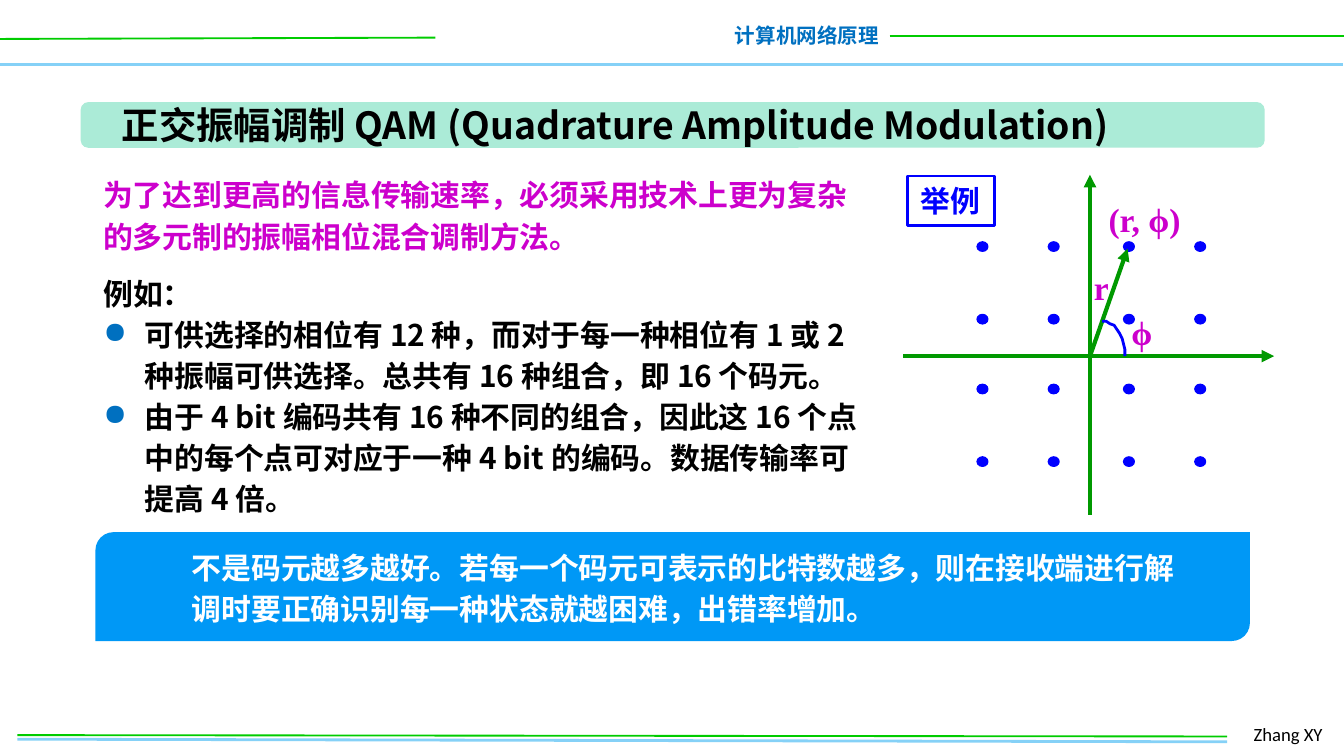
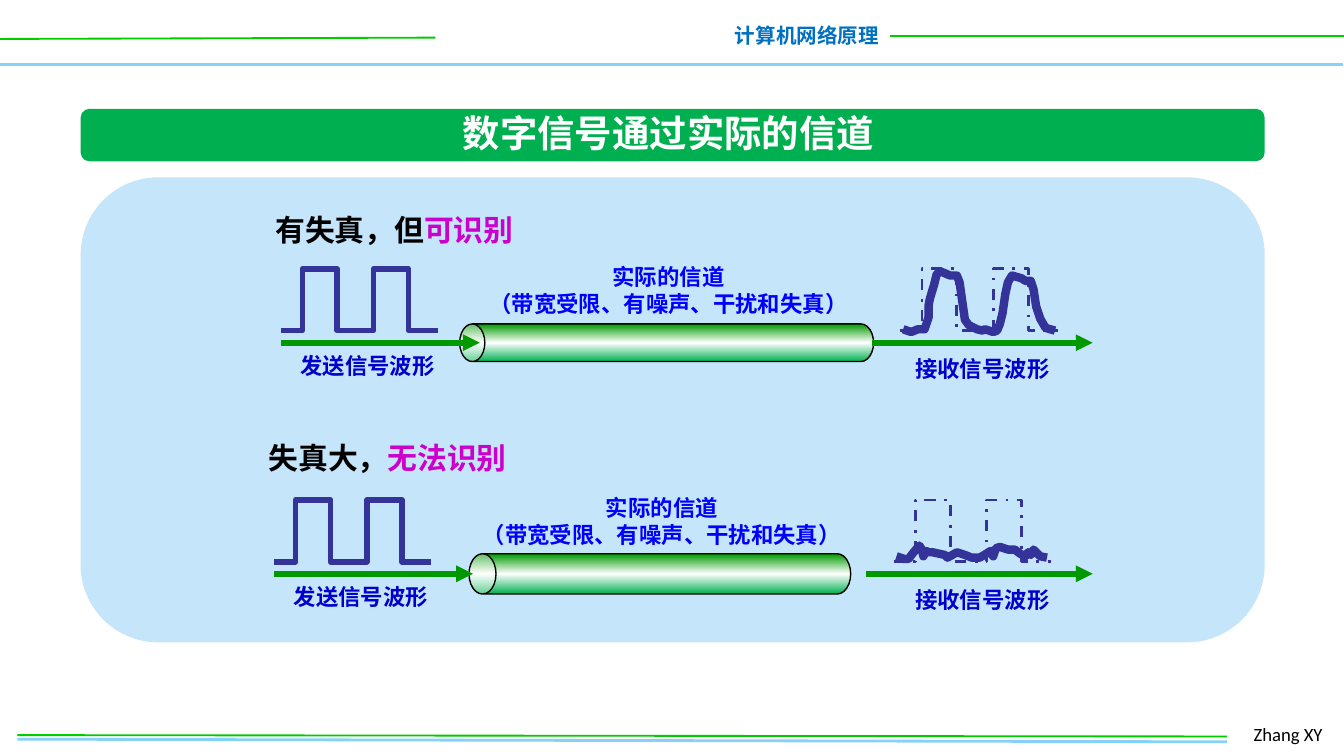
import math

import pptx
import pptx.dml.color
import pptx.enum.dml
import pptx.enum.shapes
import pptx.enum.text
import pptx.oxml
import pptx.oxml.ns
import pptx.util
from lxml import etree

SHAPE = pptx.enum.shapes.MSO_SHAPE
ALIGN = pptx.enum.text.PP_ALIGN
CJK = "Noto Sans CJK SC"
SERIF = "Times New Roman"
BLACK, WHITE = "000000", "FFFFFF"
SKY, GRASS, TEAL_BLUE = "85D1F7", "00CC00", "0070C0"
AXIS_GREEN, PIPE_GREEN = "009900", "00B050"
BLUE, LABEL_BLUE, WAVE_BLUE = "0000FF", "0000CC", "333399"
MAGENTA = "CC00CC"

SQUARE_WAVE = [(0, 46), (16, 46), (16, 0), (42, 0), (42, 46),
               (69, 46), (69, 0), (95, 0), (95, 46), (117, 46)]
READABLE_WAVE = [
    (463, 45), (469, 47), (474, 45), (479, 45), (482, 36), (482, 27), (483, 22),
    (486, 12), (488, 4), (491, 2), (498, 5), (503, 5), (505, 10), (507, 24),
    (509, 38), (512, 42), (518, 45), (522, 46), (524, 45), (530, 47), (533, 46),
    (535, 41), (537, 33), (539, 19), (541, 10), (544, 5), (551, 7), (554, 9),
    (558, 9), (560, 15), (562, 28), (565, 37), (569, 44), (576, 46)]
LOST_WAVE = [
    (463, 42), (469, 44), (472, 44), (475, 40), (480, 34), (482, 37), (483, 42),
    (485, 38), (487, 39), (490, 39), (499, 41), (501, 43), (508, 39), (514, 41),
    (519, 43), (525, 43), (530, 40), (533, 38), (535, 42), (537, 36), (540, 35),
    (546, 37), (551, 37), (555, 40), (559, 42), (561, 39), (563, 41), (565, 37),
    (570, 42), (575, 43)]


def px(length):
    return pptx.util.Emu(length * 9144)


def color(value):
    return pptx.dml.color.RGBColor.from_string(value)


def stroke(line, value, points):
    line.color.rgb = color(value)
    line.width = pptx.util.Pt(points)


def paint(run, size, value, font=CJK, bold=True):
    run.font.size = pptx.util.Pt(size)
    run.font.bold = bold
    run.font.color.rgb = color(value)
    run.font.name = font
    east_asian = etree.SubElement(run.font._element, pptx.oxml.ns.qn("a:ea"))
    east_asian.set("typeface", font)


def write(frame, lines, size, value, font=CJK, bold=True, align=ALIGN.LEFT,
          wrap=False, spacing=None):
    frame.word_wrap = wrap
    frame.auto_size = pptx.enum.text.MSO_AUTO_SIZE.SHAPE_TO_FIT_TEXT
    frame.vertical_anchor = pptx.enum.text.MSO_ANCHOR.TOP
    frame.text = "\n".join(lines)
    for paragraph in frame.paragraphs:
        paragraph.alignment = align
        paragraph.line_spacing = spacing
        for run in paragraph.runs:
            paint(run, size, value, font, bold)


def label(slide, box, lines, size, value, **style):
    caption = slide.shapes.add_textbox(*map(px, box))
    write(caption.text_frame, lines, size, value, **style)
    return caption


def panel(slide, kind, box, fill):
    area = slide.shapes.add_shape(kind, *map(px, box))
    area.shadow.inherit = False
    area.fill.solid()
    area.fill.fore_color.rgb = color(fill)
    area.line.fill.background()
    return area


def rule(slide, start, end, value, points, arrow=False):
    segment = slide.shapes.add_connector(
        pptx.enum.shapes.MSO_CONNECTOR.STRAIGHT, *map(px, start + end))
    stroke(segment.line, value, points)
    if arrow:
        tip = etree.SubElement(segment.line._get_or_add_ln(), pptx.oxml.ns.qn("a:tailEnd"))
        tip.set("type", "triangle")
    etree.SubElement(segment._element.spPr, pptx.oxml.ns.qn("a:effectLst"))


def trace(slide, left, top, points, value, width):
    places = [(px(left + x), px(top + y)) for x, y in points]
    outline = slide.shapes.build_freeform(*places[0])
    outline.add_line_segments(places[1:], close=False)
    curve = outline.convert_to_shape()
    curve.shadow.inherit = False
    curve.fill.background()
    stroke(curve.line, value, width)
    return curve


def bullet(paragraph, value):
    props = paragraph._p.get_or_add_pPr()
    props.set("marL", str(px(31)))
    props.set("indent", str(px(-31)))
    tint = etree.SubElement(props, pptx.oxml.ns.qn("a:buClr"))
    etree.SubElement(tint, pptx.oxml.ns.qn("a:srgbClr")).set("val", value)
    etree.SubElement(props, pptx.oxml.ns.qn("a:buChar")).set("char", "●")


def course_slide(deck, title, title_box, title_color, band_box, band_fill):
    slide = deck.slides.add_slide(deck.slide_layouts[5])
    rule(slide, (-1, 48), (999, 48), SKY, 2)
    rule(slide, (0, 29), (324, 28), GRASS, 1)
    label(slide, (536, 12, 128, 29), ["计算机网络原理"], 11, TEAL_BLUE, align=ALIGN.RIGHT)
    rule(slide, (662, 27), (1001, 27), GRASS, 1)
    rule(slide, (13, 550), (913, 552), SKY, 1.5)
    label(slide, (923, 533, 74, 27), ["Zhang XY"], 10, BLACK,
          font="Calibri", bold=False, wrap=True)
    rule(slide, (13, 547), (913, 548), GRASS, 1)
    panel(slide, SHAPE.ROUNDED_RECTANGLE, band_box, band_fill)
    heading = slide.shapes.title
    heading.left, heading.top, heading.width, heading.height = map(px, title_box)
    write(heading.text_frame, [title], 20, title_color, align=ALIGN.CENTER)
    heading.element.getparent().append(heading.element)
    return slide


def explanation(slide, left, top):
    spacing = pptx.util.Pt(22)
    label(slide, (left, top, 593, 72),
          ["为了达到更高的信息传输速率，必须采用技术上更为复杂的多元制的振幅相位混合调制方法。"],
          16, MAGENTA, wrap=True, spacing=spacing)
    example = label(slide, (left, top + 66, 592, 202), [
        "例如：",
        "可供选择的相位有 12 种，而对于每一种相位有 1 或 2 种振幅可供选择。总共有 16 种组合，即 16 个码元。",
        "由于 4 bit 编码共有 16 种不同的组合，因此这 16 个点中的每个点可对应于一种 4 bit 的编码。数据传输率可提高 4 倍。",
    ], 16, BLACK, wrap=True, spacing=spacing)
    intro, *choices = example.text_frame.paragraphs
    intro.line_spacing = pptx.util.Pt(27)
    for choice in choices:
        bullet(choice, TEAL_BLUE)


def warning(slide, left, top, width, height):
    panel(slide, SHAPE.ROUND_2_DIAG_RECTANGLE, (left, top, width, height), "0098F6")
    label(slide, (left + 62, top + 4, width - 97, height - 9),
          ["不是码元越多越好。若每一个码元可表示的比特数越多，则在接收端进行解调时要正确识别每一种状态就越困难，出错率增加。"],
          16, WHITE, wrap=True, spacing=pptx.util.Pt(22))


def constellation(slide, left, top, width, height):
    center = (left + 139, top + 135)
    rule(slide, (center[0], top + height), (center[0], top), AXIS_GREEN, 2.25, arrow=True)
    for row in (50, 104, 156, 210):
        for column in (55, 108, 164, 217):
            dot = panel(slide, SHAPE.OVAL, (left + column, top + row, 8, 7), BLUE)
            stroke(dot.line, BLUE, 0.75)
    rule(slide, (left, center[1]), (left + width, center[1]), AXIS_GREEN, 2.25, arrow=True)
    rule(slide, center, (left + 167, top + 55), AXIS_GREEN, 2.25, arrow=True)
    angles = [math.radians(degrees) for degrees in range(90, -1, -10)]
    arc = [(round(17 * math.cos(a)), round(-26 * math.sin(a))) for a in angles]
    trace(slide, left + 148, center[1], arc, BLUE, 1.5)
    for symbol, x, y, wide in (("r", 132, 64, 31), ("ϕ", 160, 97, 35), ("(r, ϕ)", 143, 13, 74)):
        label(slide, (left + x, top + y, wide, 40), [symbol], 18, MAGENTA, font=SERIF)
    example = label(slide, (left + 3, top + 1, 65, 37), ["举例"], 16, BLUE)
    stroke(example.line, BLUE, 1.5)


def pipe(slide, center_x, center_y, length, thickness):
    channel = panel(slide, SHAPE.CAN, (center_x - thickness // 2, center_y - length // 2,
                                       thickness, length), WHITE)
    channel.rotation = 270
    channel.adjustments[0] = 0.67
    stroke(channel.line, BLACK, 0.75)
    channel.fill.gradient()
    channel.fill.gradient_angle = 0
    stops = channel._element.spPr.find(".//" + pptx.oxml.ns.qn("a:gsLst"))
    for stop in list(stops):
        stops.remove(stop)
    for position, value in ((0, PIPE_GREEN), (50, WHITE), (100, AXIS_GREEN)):
        stop = etree.SubElement(stops, pptx.oxml.ns.qn("a:gs"))
        stop.set("pos", str(position * 1000))
        etree.SubElement(stop, pptx.oxml.ns.qn("a:srgbClr")).set("val", value)


def transmission(slide, left, top, width, verdict, received, pipe_size, spacing=None):
    right, flow = left + width, top + 55
    pipe(slide, left + 287, flow, *pipe_size)
    trace(slide, left, top, SQUARE_WAVE, WAVE_BLUE, 3)
    rule(slide, (left, flow), (left + 148, flow), AXIS_GREEN, 3, arrow=True)
    sent = trace(slide, left + 461, top, SQUARE_WAVE, WAVE_BLUE, 1.5)
    sent.line.dash_style = pptx.enum.dml.MSO_LINE.DASH_DOT
    rule(slide, (left + 440, flow), (right, flow), AXIS_GREEN, 3, arrow=True)
    trace(slide, left, top, received, WAVE_BLUE, 4.5)
    label(slide, (left + 144, top - 9, 289, 50),
          ["实际的信道", "（带宽受限、有噪声、干扰和失真）"], 12, BLUE, align=ALIGN.CENTER)
    label(slide, (left + 4, top + 57, 121, 30), ["发送信号波形"], 12, LABEL_BLUE,
          align=ALIGN.CENTER)
    label(slide, (right - 155, top + 59, 146, 30), ["接收信号波形"], 12, LABEL_BLUE,
          align=ALIGN.CENTER, wrap=True)
    condition, outcome = verdict
    summary = label(slide, (left - 14, top - 50, 200, 38), [condition], 16, BLACK,
                    spacing=spacing)
    ending = summary.text_frame.paragraphs[0].add_run()
    ending.text = outcome
    paint(ending, 16, MAGENTA)


def qam_slide(deck):
    slide = course_slide(deck, "正交振幅调制 QAM (Quadrature Amplitude Modulation) ",
                         (61, 71, 800, 44), BLACK, (60, 76, 881, 34), "ABEBD7")
    explanation(slide, 67, 123)
    warning(slide, 71, 396, 859, 81)
    constellation(slide, 672, 130, 276, 253)


def channel_slide(deck):
    slide = course_slide(deck, "数字信号通过实际的信道 ",
                         (332, 77, 337, 44), WHITE, (60, 81, 881, 39), PIPE_GREEN)
    panel(slide, SHAPE.ROUNDED_RECTANGLE, (60, 132, 881, 346), "C5E5FB")
    transmission(slide, 209, 200, 604, ("有失真，但", "可识别"), READABLE_WAVE, (308, 28), 1.1)
    transmission(slide, 204, 372, 609, ("失真大，", "无法识别"), LOST_WAVE, (284, 30))


def main():
    deck = pptx.Presentation()
    deck.slide_width = px(1000)
    deck.slide_height = px(1000) * 9 // 16
    qam_slide(deck)
    channel_slide(deck)
    deck.save("out.pptx")


if __name__ == "__main__":
    main()
